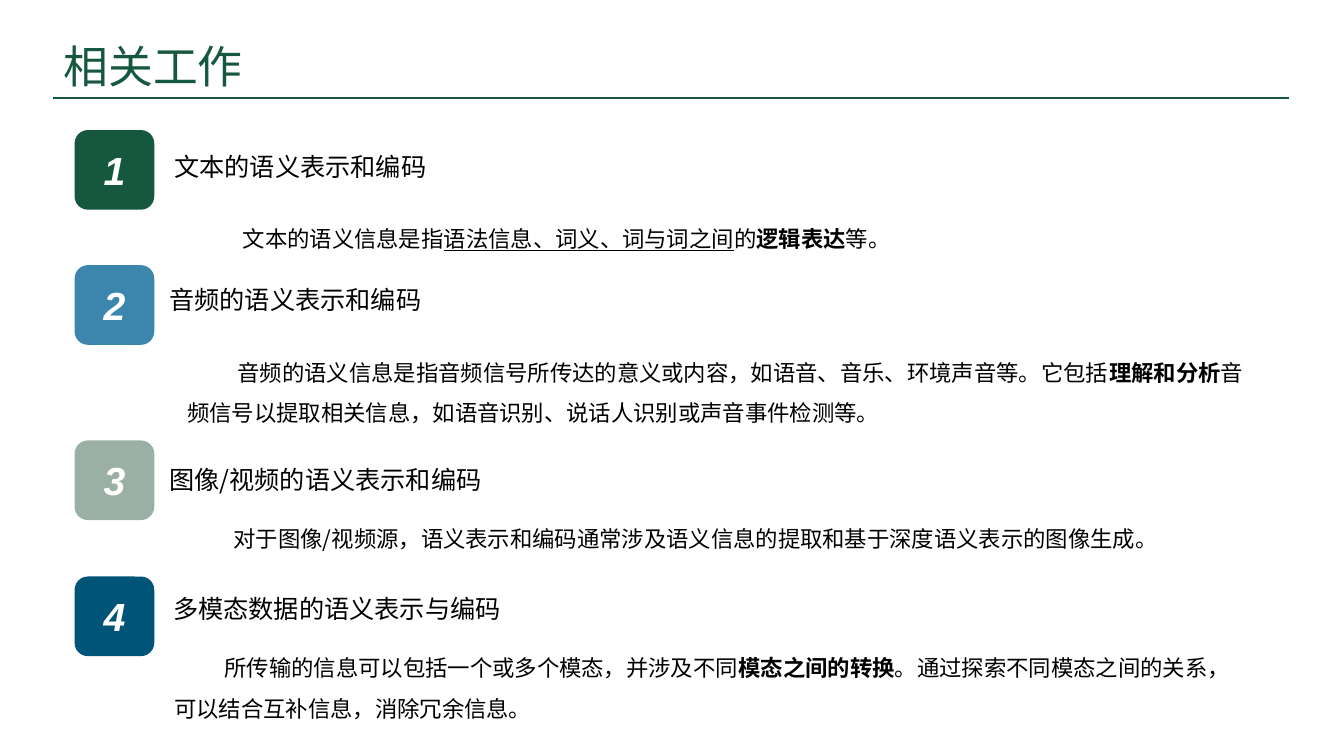
"""Build the related-work slide with four numbered topics."""
from lxml import etree
from pptx import Presentation
from pptx.dml.color import RGBColor
from pptx.enum.shapes import MSO_CONNECTOR, MSO_SHAPE
from pptx.enum.text import MSO_ANCHOR, MSO_AUTO_SIZE, PP_ALIGN
from pptx.oxml.ns import qn
from pptx.util import Pt

GREEN = RGBColor(0x16, 0x58, 0x3D)
BLUE = RGBColor(0x3C, 0x86, 0xAD)
SAGE = RGBColor(0x9B, 0xB0, 0xA5)
NAVY = RGBColor(0x00, 0x54, 0x78)
BLACK = RGBColor(0, 0, 0)
WHITE = RGBColor(255, 255, 255)
CJK = "Noto Sans CJK SC"
LATIN = "Arial"
STRAIGHT = MSO_CONNECTOR.STRAIGHT
ROUNDED = MSO_SHAPE.ROUNDED_RECTANGLE
MIDDLE, TOP = MSO_ANCHOR.MIDDLE, MSO_ANCHOR.TOP
NO_FIT = MSO_AUTO_SIZE.NONE
LEFT, CENTER = PP_ALIGN.LEFT, PP_ALIGN.CENTER

BADGE_LEFT, BADGE_SIZE = 53.3, 56.9
HEADING_HEIGHT = 32.4

# Each topic: colour, badge top, heading box, heading, body box, line spacing, runs.
TOPICS = [
    (GREEN, 92.9, (117.4, 101.5, 203.8), "文本的语义表示和编码",
     (130.3, 153.4, 511.9, 106.6), 1.2,
     [("文本的语义信息是指", ""), ("语法信息、词义、词与词之间", "u"), ("的", ""),
      ("逻辑表达", "b"), ("等。", "")]),
    (BLUE, 189.4, (113.8, 196.6, 203.8), "音频的语义表示和编码",
     (126.7, 243.4, 777.6, 106.6), 1.5,
     [("音频的语义信息是指音频信号所传达的意义或内容，如语音、音乐、环境声音等。它包括", ""),
      ("理解和分析", "b"),
      ("音频信号以提取相关信息，如语音识别、说话人识别或声音事件检测等。", "")]),
    (SAGE, 314.6, (113.8, 325.4, 276.5), "图像/视频的语义表示和编码",
     (123.8, 362.2, 771.1, 100), 1.5,
     [("对于图像/视频源，语义表示和编码通常涉及语义信息的提取和基于深度语义表示的图像生成。", "")]),
    (NAVY, 411.8, (116.6, 417.6, 345.6), "多模态数据的语义表示与编码",
     (117.4, 454.3, 777.6, 84), 1.5,
     [("所传输的信息可以包括一个或多个模态，并涉及不同", ""), ("模态之间的转换", "b"),
      ("。通过探索不同模态之间的关系，可以结合互补信息，消除冗余信息。", "")]),
]


def add_run(p, text, size, color, font=CJK, style=""):
    r = p.add_run()
    r.text = text
    r.font.size = Pt(size)
    r.font.name = font
    r.font.color.rgb = color
    r.font.bold = "b" in style
    r.font.italic = "i" in style
    r.font.underline = "u" in style
    etree.SubElement(r.font._element, qn("a:ea"), typeface=font)


def set_up(sp, anchor, align, spacing):
    tf = sp.text_frame
    tf.word_wrap = True
    tf.auto_size = NO_FIT
    tf.vertical_anchor = anchor
    p = tf.paragraphs[0]
    p.alignment = align
    p.line_spacing = spacing
    return p


prs = Presentation()
prs.slide_width, prs.slide_height = Pt(960), Pt(540)
s = prs.slides.add_slide(prs.slide_layouts[5])

title = s.shapes.title
title.left, title.top, title.width, title.height = Pt(38.2), Pt(28.8), Pt(828), Pt(41)
add_run(set_up(title, MIDDLE, LEFT, 0.9), "相关工作", 32, GREEN)

rule = s.shapes.add_connector(STRAIGHT, Pt(38.2), Pt(69.8), Pt(920.9), Pt(69.8))
rule.line.color.rgb = GREEN
rule.line.width = Pt(1.5)
etree.SubElement(rule._element.spPr, qn("a:effectLst"))

for number, topic in enumerate(TOPICS, 1):
    color, badge_top, (x, y, width), heading, body_box, spacing, runs = topic

    badge = s.shapes.add_shape(ROUNDED, Pt(BADGE_LEFT), Pt(badge_top),
                               Pt(BADGE_SIZE), Pt(BADGE_SIZE))
    badge.shadow.inherit = False
    badge.fill.solid()
    badge.fill.fore_color.rgb = color
    badge.line.fill.background()
    add_run(set_up(badge, MIDDLE, CENTER, 1.0), str(number), 28, WHITE, LATIN, "bi")

    sp = s.shapes.add_textbox(Pt(x), Pt(y), Pt(width), Pt(HEADING_HEIGHT))
    add_run(set_up(sp, MIDDLE, LEFT, 1.1), heading, 18, BLACK)

    sp = s.shapes.add_textbox(*[Pt(v) for v in body_box])
    p = set_up(sp, TOP, LEFT, spacing)
    p._p.get_or_add_pPr().set("indent", str(Pt(36)))
    for text, style in runs:
        add_run(p, text, 16, BLACK, style=style)

prs.save("out.pptx")
